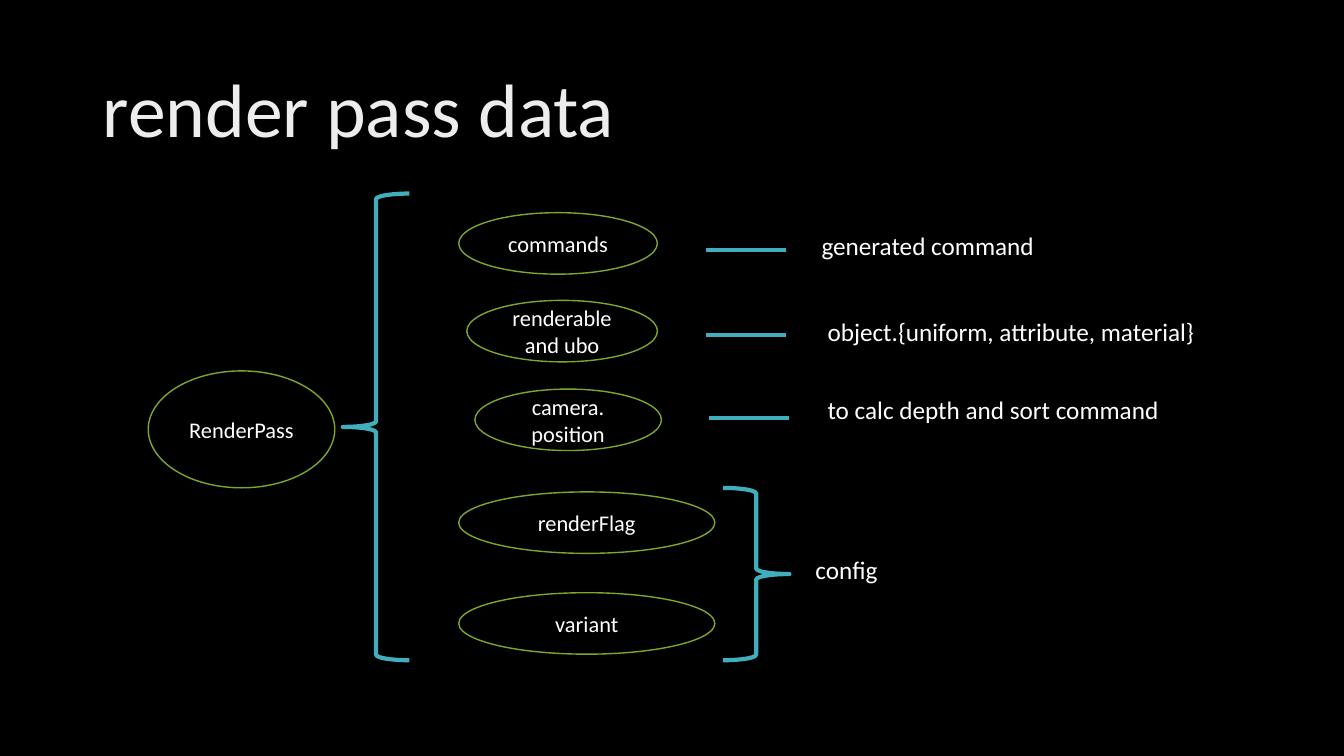
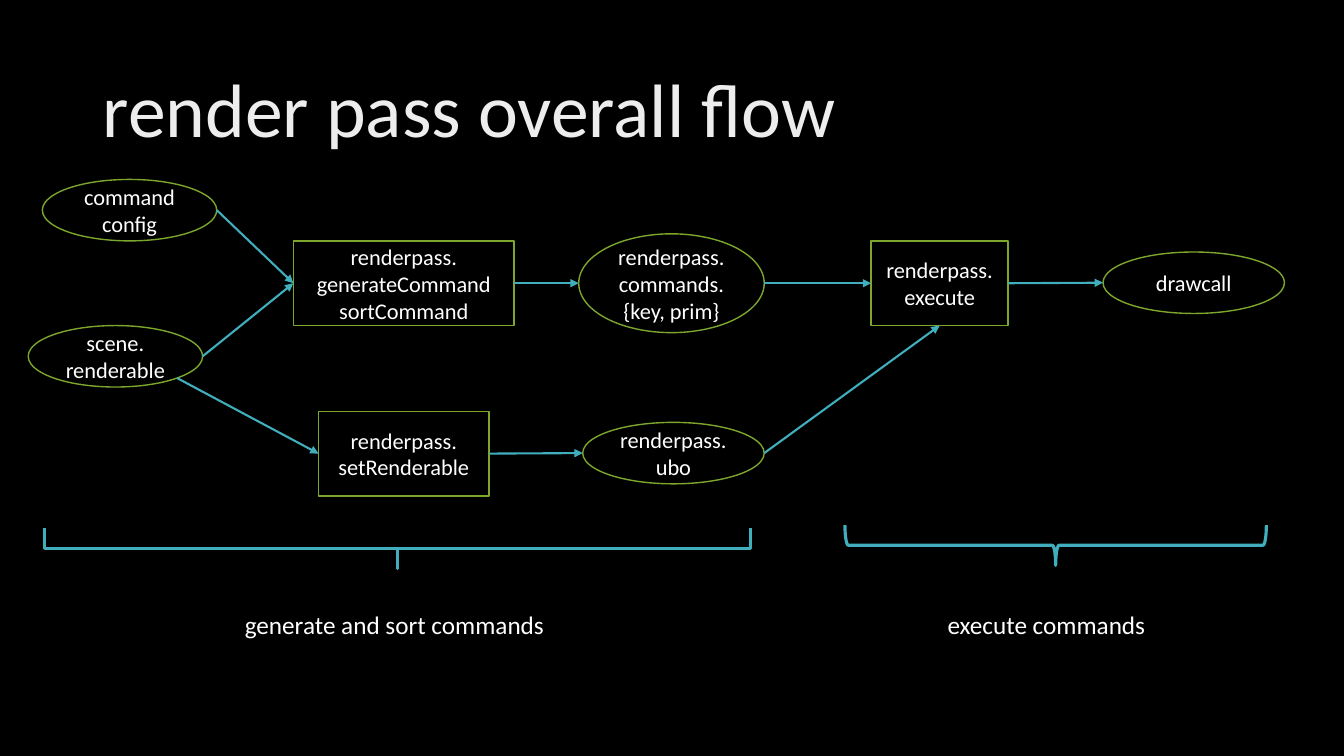
from lxml.etree import SubElement
from pptx import Presentation
from pptx.dml.color import RGBColor
from pptx.enum.shapes import MSO_CONNECTOR as Link, MSO_SHAPE as Kind
from pptx.enum.text import MSO_ANCHOR as Anchor, PP_ALIGN as Align
from pptx.oxml.ns import qn
from pptx.util import Inches, Pt

BLACK = RGBColor(0x00, 0x00, 0x00)
WHITE = RGBColor(0xFF, 0xFF, 0xFF)
PALE = RGBColor(0xED, 0xED, 0xED)
GREEN = RGBColor(0x7D, 0xA6, 0x2C)
TEAL = RGBColor(0x41, 0xAE, 0xBD)
FONT = "Calibri"

SITES = {
    "left": (0, 0.5, 1, 2),
    "right": (1, 0.5, 3, 6),
    "bottom": (0.5, 1, 2, 4),
    "corner": (0.854, 0.854, None, 5),
}


class Deck:
    def __init__(self):
        self.prs = Presentation()
        self.prs.slide_width = Inches(13.33)
        self.prs.slide_height = Inches(7.5)
        fill = self.prs.slide_master.background.fill
        fill.solid()
        fill.fore_color.rgb = BLACK
        self.slide = None

    def page(self, text):
        self.slide = self.prs.slides.add_slide(self.prs.slide_layouts[5])
        title = self.slide.shapes.title
        title.left, title.top = Inches(0.92), Inches(0.4)
        title.width, title.height = Inches(11.5), Inches(1.45)
        title.text_frame.text = text
        title.text_frame.vertical_anchor = Anchor.MIDDLE
        self.style(title, 54, PALE, Align.LEFT)
        title.text_frame.paragraphs[0].line_spacing = 0.9

    def style(self, shape, size, color, align):
        for par in shape.text_frame.paragraphs:
            par.alignment = align
            for run in par.runs:
                run.font.name = FONT
                run.font.size = Pt(size)
                run.font.color.rgb = color

    def shape(self, kind, x, y, w, h, color, width):
        shape = self.slide.shapes.add_shape(
            kind, Inches(x), Inches(y), Inches(w), Inches(h))
        shape.shadow.inherit = False
        shape.fill.background()
        shape.line.color.rgb = color
        shape.line.width = Pt(width)
        return shape

    def node(self, text, x, y, w, h=0.61, kind=Kind.OVAL):
        node = self.shape(kind, x, y, w, h, GREEN, 1)
        node.text_frame.text = text
        node.text_frame.word_wrap = True
        node.text_frame.vertical_anchor = Anchor.MIDDLE
        self.style(node, 16, WHITE, Align.CENTER)
        return node

    def box(self, text, x, y, w, h=0.84):
        return self.node(text, x, y, w, h, Kind.RECTANGLE)

    def brace(self, x, y, w, h, turn=0, width=3):
        brace = self.shape(Kind.RIGHT_BRACE, x, y, w, h, TEAL, width)
        brace.rotation = turn
        return brace

    def label(self, text, x, y, w):
        label = self.slide.shapes.add_textbox(
            Inches(x), Inches(y), Inches(w), Inches(0.4))
        label.text_frame.word_wrap = True
        label.text_frame.text = text
        self.style(label, 18, WHITE, Align.LEFT)

    def line(self, start, end, width):
        line = self.slide.shapes.add_connector(Link.STRAIGHT, *start, *end)
        line.line.color.rgb = TEAL
        line.line.width = Pt(width)
        SubElement(line._element.spPr, qn("a:effectLst"))
        return line

    def dash(self, x, y):
        self.line((Inches(x), Inches(y)), (Inches(x + 0.8), Inches(y)), 3)

    def arrow(self, head, tail, out="right", into="left"):
        ends, glue = [], []
        for node, side in ((head, out), (tail, into)):
            fx, fy, rect, oval = SITES[side]
            ends.append((int(node.left + fx * node.width),
                         int(node.top + fy * node.height)))
            round_one = node.auto_shape_type == Kind.OVAL
            glue.append((node.shape_id, oval if round_one else rect))
        line = self.line(*ends, 1.5)
        SubElement(line.line._get_or_add_ln(), qn("a:tailEnd"), type="triangle")
        props = line._element.find(".//" + qn("p:cNvCxnSpPr"))
        for tag, (key, site) in zip(("a:stCxn", "a:endCxn"), glue):
            SubElement(props, qn(tag), id=str(key), idx=str(site))


def data(deck):
    deck.page("render pass data")
    deck.node("RenderPass", 1.47, 3.68, 1.85, 1.16)
    for text, x, y, w in (
        ("commands", 4.55, 2.11, 1.97),
        ("renderable and ubo", 4.63, 2.98, 1.89),
        ("camera.\nposition", 4.71, 3.86, 1.85),
        ("renderFlag", 4.55, 4.88, 2.54),
        ("variant", 4.55, 5.88, 2.54),
    ):
        deck.node(text, x, y, w)
    for x, y in ((7, 2.48), (7, 3.32), (7.03, 4.15)):
        deck.dash(x, y)
    for text, x, y, w in (
        ("generated command", 8.05, 2.24, 2.78),
        ("object.{uniform, attribute, material}", 8.11, 3.09, 4.06),
        ("to calc depth and sort command", 8.11, 3.86, 4.2),
        ("config", 7.99, 5.45, 1.13),
    ):
        deck.label(text, x, y, w)
    deck.brace(3.4, 1.92, 0.66, 4.63, 180)
    deck.brace(7.17, 4.84, 0.66, 1.71)


def flow(deck):
    deck.page("render pass overall flow")
    config = deck.node("command\nconfig", 0.42, 1.78, 1.73)
    scene = deck.node("scene.\nrenderable", 0.28, 3.23, 1.73)
    sort = deck.box("renderpass.\ngenerateCommand\nsortCommand", 2.91, 2.39, 2.19)
    prims = deck.node("renderpass.commands.\n{key, prim}", 5.74, 2.32, 1.84, 0.98)
    run = deck.box("renderpass.\nexecute", 8.64, 2.39, 1.36)
    draw = deck.node("drawcall", 10.94, 2.5, 1.8)
    setter = deck.box("renderpass.\nsetRenderable", 3.16, 4.08, 1.69)
    ubo = deck.node("renderpass.\nubo", 5.78, 4.19, 1.8)
    for head, tail in ((config, sort), (scene, sort), (sort, prims),
                       (prims, run), (run, draw), (setter, ubo)):
        deck.arrow(head, tail)
    deck.arrow(scene, setter, out="corner")
    deck.arrow(ubo, run, into="bottom")
    square = deck.brace(3.74, 1.94, 0.4, 7, 90, 2.25)
    square.adjustments[0] = 0
    deck.brace(10.27, 3.32, 0.4, 4.18, 90, 2.25)
    deck.label("generate and sort commands", 2.33, 6, 3.42)
    deck.label("execute commands", 9.3, 6, 2.33)


def main():
    deck = Deck()
    data(deck)
    flow(deck)
    deck.prs.save("out.pptx")


if __name__ == "__main__":
    main()
